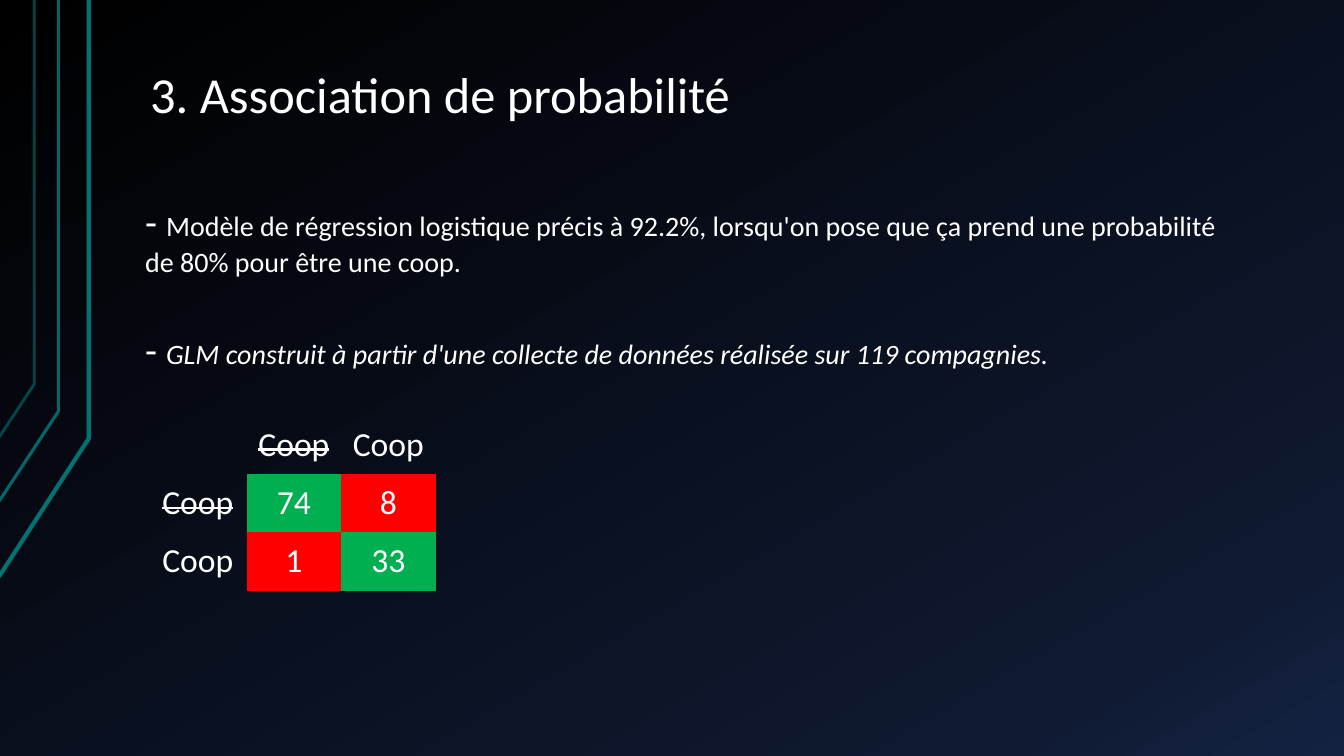
from copy import deepcopy

from pptx import Presentation
from pptx import util as u
from pptx.dml.color import RGBColor
from pptx.enum import text
from pptx.oxml.ns import qn
from lxml import etree

WHITE = RGBColor(0xFF, 0xFF, 0xFF)
TEAL = RGBColor(0x00, 0x73, 0x73)
GREEN = RGBColor(0x00, 0xB0, 0x50)
RED = RGBColor(0xFF, 0x00, 0x00)
SKY = [(0, RGBColor(0, 0, 0)), (0.85, RGBColor(0x0F, 0x19, 0x31)),
       (1, RGBColor(0x14, 0x22, 0x42))]
FONT = "Calibri"
NO_GRID_STYLE = "{2D5ABB26-0587-4C30-8999-92F81FD0307C}"

# Points in hundredths of an inch, width and opacity of each bent line
BENT_LINES = [
    ([(-1, 572), (88, 435), (88, 0)], 3, 100),
    ([(-2, 499), (58, 408), (58, 0)], 2.25, 90),
    ([(-1, 434), (34, 381), (34, 0)], 2, 60),
]
FINDINGS = [
    ("- ", "Modèle de régression logistique précis à 92.2%, lorsqu'on pose que "
           "ça prend une probabilité de 80% pour être une coop.", False),
    ("-\u00a0", "GLM construit à partir d'une collecte de données réalisée "
                "sur 119 compagnies.", True),
]
CONFUSION = [("", "Coop", "Coop"), ("Coop", "74", "8"), ("Coop", "1", "33")]


def apply_format(target, values):
    for name, value in values.items():
        setattr(target, name, value)


def add_run(paragraph, words, size, italic=False):
    run = paragraph.add_run()
    run.text = words
    apply_format(run.font, {"name": FONT, "size": u.Pt(size), "italic": italic})
    run.font.color.rgb = WHITE
    return run


def place(part, box):
    for name, length in zip(("left", "top", "width", "height"), box):
        setattr(part, name, u.Inches(length))


def paint_background(slide):
    fill = slide.background.fill
    fill.gradient()
    fill.gradient_angle = 300
    stops = slide.element.find(".//" + qn("a:gsLst"))
    stops.append(deepcopy(stops[-1]))
    for stop, (position, colour) in zip(fill.gradient_stops, SKY):
        stop.position = position
        stop.color.rgb = colour


def draw_bent_lines(slide):
    for points, width, opacity in BENT_LINES:
        builder = slide.shapes.build_freeform(*points[0], scale=u.Inches(0.01))
        builder.add_line_segments(points[1:], close=False)
        bent_line = builder.convert_to_shape()
        bent_line.shadow.inherit = False
        bent_line.fill.background()
        bent_line.line.color.rgb = TEAL
        bent_line.line.width = u.Pt(width)
        colour = bent_line.line._ln.find(".//" + qn("a:srgbClr"))
        etree.SubElement(colour, qn("a:alpha"), val=str(opacity * 1000))


def write_title(slide, box):
    title = slide.shapes.title
    place(title, box)
    apply_format(title.text_frame, {
        "margin_left": u.Inches(0.13), "margin_right": u.Inches(0.13),
        "margin_top": u.Inches(0.07), "margin_bottom": u.Inches(0.07),
        "vertical_anchor": text.MSO_ANCHOR.BOTTOM, "word_wrap": True,
        "auto_size": text.MSO_AUTO_SIZE.NONE})
    heading = title.text_frame.paragraphs[0]
    apply_format(heading, {"alignment": text.PP_ALIGN.LEFT, "line_spacing": 0.9})
    add_run(heading, "3.\u00a0Association de probabilité", 36)


def write_findings(slide, box):
    body = slide.placeholders[1]
    place(body, box)
    frame = body.text_frame
    apply_format(frame, {"word_wrap": True, "auto_size": text.MSO_AUTO_SIZE.NONE,
                         "vertical_anchor": text.MSO_ANCHOR.TOP})
    for index, (dash, finding, italic) in enumerate(FINDINGS):
        paragraph = frame.add_paragraph() if index else frame.paragraphs[0]
        properties = paragraph._p.get_or_add_pPr()
        properties.set("marL", "0")
        properties.set("indent", "0")
        etree.SubElement(properties, qn("a:buNone"))
        paragraph.space_before = u.Pt(33.5 if index else 0)
        add_run(paragraph, dash, 28)
        add_run(paragraph, finding, 20, italic)


def build_confusion_table(slide, box):
    size = len(CONFUSION)
    frame = slide.shapes.add_table(size, size, *map(u.Inches, box))
    table = frame.table
    apply_format(table, {"first_row": False, "horz_banding": False})
    table._tbl.tblPr.find(qn("a:tableStyleId")).text = NO_GRID_STYLE
    for row, values in enumerate(CONFUSION):
        for column, value in enumerate(values):
            cell = table.cell(row, column)
            cell.vertical_anchor = text.MSO_ANCHOR.MIDDLE
            # Counts: green on the diagonal, red elsewhere
            if row and column:
                cell.fill.solid()
                cell.fill.fore_color.rgb = GREEN if row == column else RED
            else:
                cell.fill.background()
            if not value:
                continue
            paragraph = cell.text_frame.paragraphs[0]
            paragraph.alignment = (text.PP_ALIGN.CENTER if column
                                   else text.PP_ALIGN.LEFT)
            run = add_run(paragraph, value, 24)
            # The first label on each axis is struck out: not a coop
            if row + column == 1:
                run._r.get_or_add_rPr().set("strike", "sngStrike")


def main():
    deck = Presentation()
    deck.slide_width, deck.slide_height = u.Inches(13.33), u.Inches(7.5)
    slide = deck.slides.add_slide(deck.slide_layouts[1])
    paint_background(slide)
    draw_bent_lines(slide)
    write_title(slide, (1.36, 0.51, 11.33, 0.79))
    build_confusion_table(slide, (1.51, 4.13, 2.81, 1.73))
    write_findings(slide, (1.34, 1.91, 11.04, 2.32))
    deck.save("out.pptx")


if __name__ == "__main__":
    main()
